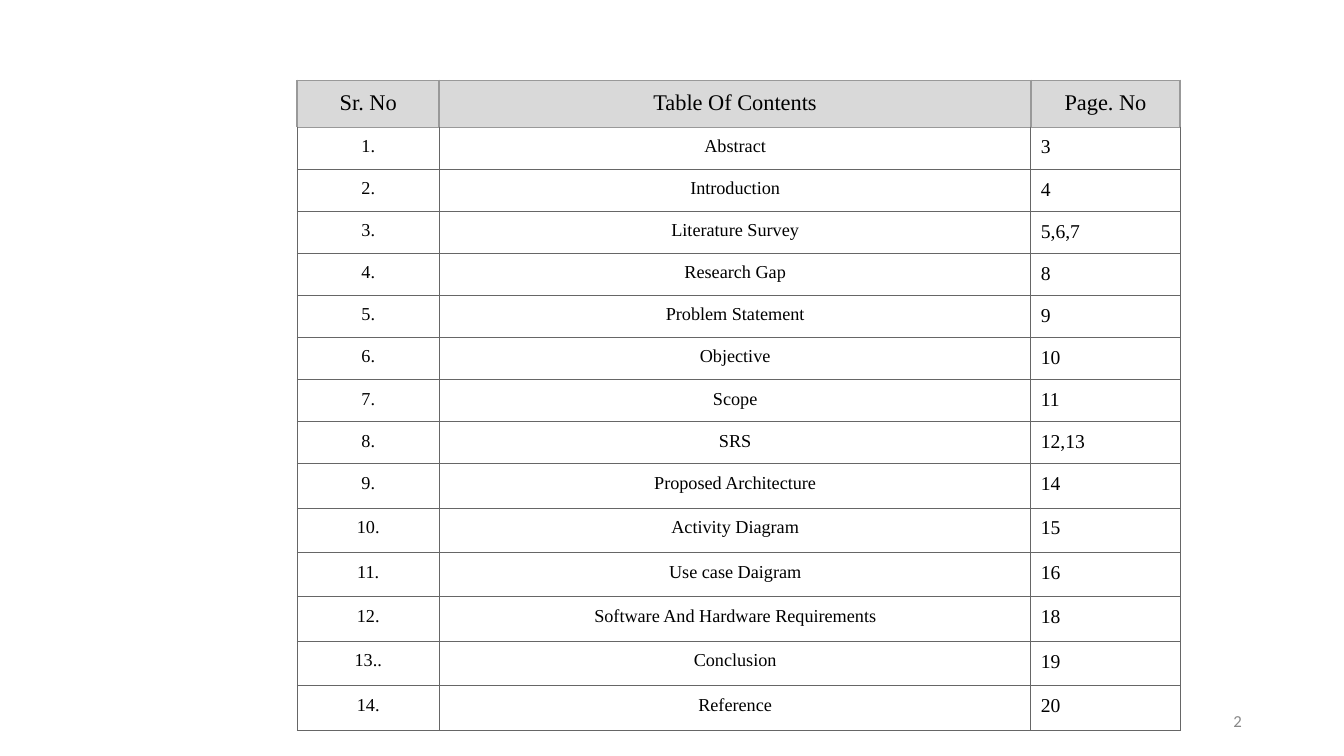
import lxml.etree
import pptx
import pptx.dml.color
import pptx.enum.text
import pptx.oxml.ns
import pptx.util

Cm = pptx.util.Cm
ALIGN = pptx.enum.text.PP_ALIGN
COLUMN_WIDTHS = [3.58, 14.91, 3.76]
ROW_HEIGHTS = [1.17] + [1.06] * 8 + [1.12] * 6
HEADINGS = ["Sr. No", "Table Of Contents", "Page. No"]
ENTRIES = [
    ("1.", "Abstract", "3"),
    ("2.", "Introduction", "4"),
    ("3.", "Literature Survey", "5,6,7"),
    ("4.", "Research Gap", "8"),
    ("5.", "Problem Statement", "9"),
    ("6.", "Objective", "10"),
    ("7.", "Scope", "11"),
    ("8.", "SRS", "12,13"),
    ("9.", "Proposed Architecture", "14"),
    ("10.", "Activity Diagram", "15"),
    ("11.", "Use case Daigram", "16"),
    ("12.", "Software And Hardware Requirements", "18"),
    ("13..", "Conclusion", "19"),
    ("14.", "Reference", "20"),
]
CELL_MARGINS = {
    "margin_left": Cm(0.25),
    "margin_top": Cm(0.24),
    "margin_right": Cm(0.25),
    "margin_bottom": Cm(0.24),
}
HEADER_BORDERS = {"L": ("999999", 1.5), "R": ("999999", 1.5), "T": ("999999", 1.5), "B": ("999999", 0.75)}
BODY_BORDERS = {side: ("666666", 0.75) for side in "LRTB"}
FIRST_ENTRY_BORDERS = {**BODY_BORDERS, "T": ("999999", 0.75)}


def color(value):
    """Turn a hex string into a colour."""
    return pptx.dml.color.RGBColor.from_string(value)


def set_format(target, values):
    """Set each named attribute on the target."""
    for name, value in values.items():
        setattr(target, name, value)


def write_text(frame, text, font, size, text_color, align):
    """Write one formatted paragraph into a text frame."""
    para = frame.paragraphs[0]
    para.alignment = align
    span = para.add_run()
    span.text = text
    set_format(span.font, {"name": font, "size": pptx.util.Pt(size)})
    span.font.color.rgb = color(text_color)


def set_borders(cell, borders):
    """Draw the cell borders, placed ahead of the cell fill."""
    properties = cell._tc.get_or_add_tcPr()
    for position, (side, (line_color, width)) in enumerate(borders.items()):
        line = lxml.etree.Element(pptx.oxml.ns.qn(f"a:ln{side}"), w=str(pptx.util.Pt(width)))
        fill = lxml.etree.SubElement(line, pptx.oxml.ns.qn("a:solidFill"))
        lxml.etree.SubElement(fill, pptx.oxml.ns.qn("a:srgbClr"), val=line_color)
        properties.insert(position, line)


def add_contents(page, left, top, width, height):
    """Add the table of contents in the given box."""
    rows = [HEADINGS, *ENTRIES]
    table = page.shapes.add_table(len(rows), len(HEADINGS), left, top, width, height).table
    set_format(table, {"first_row": False, "horz_banding": False})
    for column, column_width in zip(table.columns, COLUMN_WIDTHS):
        column.width = Cm(column_width)
    for row, row_height in zip(table.rows, ROW_HEIGHTS):
        row.height = Cm(row_height)
    body_styles = [(13, ALIGN.CENTER), (13, ALIGN.CENTER), (14, ALIGN.LEFT)]
    for row_index, texts in enumerate(rows):
        is_header = row_index == 0
        styles = [(16, ALIGN.CENTER)] * 3 if is_header else body_styles
        borders = {0: HEADER_BORDERS, 1: FIRST_ENTRY_BORDERS}.get(row_index, BODY_BORDERS)
        for column_index, (text, (size, align)) in enumerate(zip(texts, styles)):
            cell = table.cell(row_index, column_index)
            set_format(cell, CELL_MARGINS)
            cell.fill.solid()
            cell.fill.fore_color.rgb = color("D9D9D9" if is_header else "FFFFFF")
            set_borders(cell, borders)
            write_text(cell.text_frame, text, "Times New Roman", size, "000000", align)


def add_page_number(page, left, top, width, height):
    """Add the page number at the right of the given box."""
    frame = page.shapes.add_textbox(left, top, width, height).text_frame
    set_format(frame, {"word_wrap": True, "vertical_anchor": pptx.enum.text.MSO_ANCHOR.MIDDLE})
    write_text(frame, "2", "Calibri", 12, "888888", ALIGN.RIGHT)


def main():
    """Build and save the deck."""
    deck = pptx.Presentation()
    set_format(deck, {"slide_width": Cm(33.87), "slide_height": Cm(19.05)})
    page = deck.slides.add_slide(deck.slide_layouts[6])
    add_contents(page, Cm(7.49), Cm(2.03), Cm(sum(COLUMN_WIDTHS)), Cm(sum(ROW_HEIGHTS)))
    add_page_number(page, Cm(23.93), Cm(17.65), Cm(7.62), Cm(1.02))
    deck.save("out.pptx")


if __name__ == "__main__":
    main()
